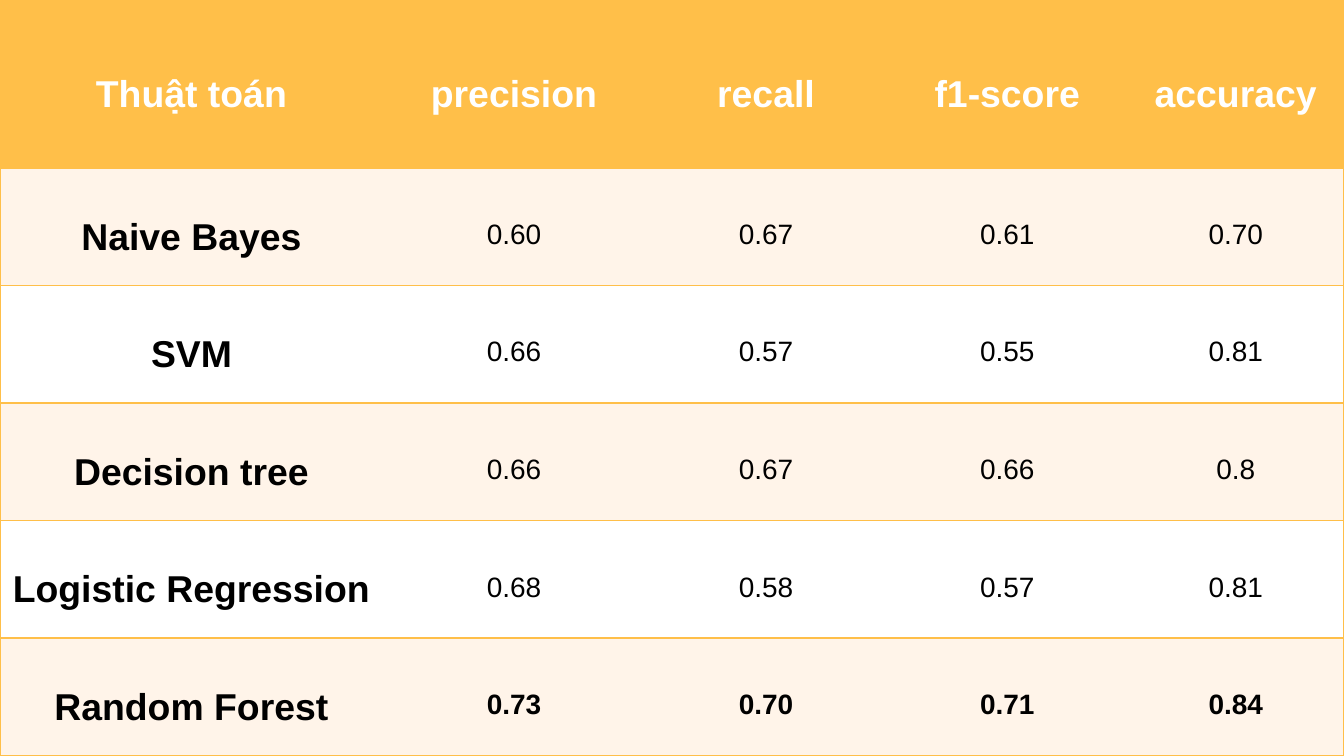
"""Build a slide with a table comparing the scores of five classification algorithms."""
from dataclasses import dataclass

from lxml.etree import SubElement
from pptx import Presentation
from pptx.dml.color import RGBColor
from pptx.enum.text import MSO_ANCHOR, PP_ALIGN
from pptx.oxml.ns import qn
from pptx.util import Inches, Pt


@dataclass(frozen=True)
class Theme:
    accent: str = "FFBF49"
    band: str = "FFF4E9"
    plain: str = "FFFFFF"
    ink: str = "000000"
    font: str = "Arial"
    label_size: int = 20
    score_size: int = 15
    rule_width: int = 1


theme = Theme()

scores = [
    ["Thuật toán", "precision", "recall", "f1-score", "accuracy"],
    ["Naive Bayes", "0.60", "0.67", "0.61", "0.70"],
    ["SVM", "0.66", "0.57", "0.55", "0.81"],
    ["Decision tree", "0.66", "0.67", "0.66", "0.8"],
    ["Logistic Regression", "0.68", "0.58", "0.57", "0.81"],
    ["Random Forest", "0.73", "0.70", "0.71", "0.84"],
]
best_row = len(scores) - 1
last_column = len(scores[0]) - 1
column_percents = [28.5, 19.5, 18, 17.9, 16.1]
row_shares = [10] + [7] * best_row


def set_attributes(target, values):
    for name, value in values.items():
        setattr(target, name, value)


def add_border(cell, side, visible):
    line = SubElement(cell._tc.get_or_add_tcPr(), qn(f"a:ln{side}"), w=str(Pt(theme.rule_width)))
    if visible:
        fill = SubElement(line, qn("a:solidFill"))
        SubElement(fill, qn("a:srgbClr"), val=theme.accent)
    else:
        SubElement(line, qn("a:noFill"))


deck = Presentation()
deck.slide_width = Inches(10)
deck.slide_height = deck.slide_width * 9 // 16
page = deck.slides.add_slide(deck.slide_layouts[6])

table = page.shapes.add_table(
    len(scores), len(scores[0]), 0, 0, deck.slide_width, deck.slide_height
).table
for column, percent in zip(table.columns, column_percents):
    column.width = int(deck.slide_width * percent / 100)
for row, share in zip(table.rows, row_shares):
    row.height = deck.slide_height * share // sum(row_shares)

cell_format = {
    "vertical_anchor": MSO_ANCHOR.MIDDLE,
    "margin_left": Inches(0.07),
    "margin_right": Inches(0.07),
    "margin_top": 0,
    "margin_bottom": 0,
}
para_format = {"alignment": PP_ALIGN.CENTER, "line_spacing": 1.5}

for row_index, values in enumerate(scores):
    is_header = row_index == 0
    row_fill = theme.accent if is_header else theme.band if row_index % 2 else theme.plain
    for column_index, value in enumerate(values):
        is_label = is_header or column_index == 0
        cell = table.cell(row_index, column_index)
        set_attributes(cell, cell_format)
        add_border(cell, "L", column_index == 0)
        add_border(cell, "R", column_index == last_column)
        add_border(cell, "T", True)
        add_border(cell, "B", True)
        cell.fill.solid()
        cell.fill.fore_color.rgb = RGBColor.from_string(row_fill)

        para = cell.text_frame.paragraphs[0]
        set_attributes(para, para_format)
        span = para.add_run()
        span.text = value
        set_attributes(span.font, {
            "name": theme.font,
            "size": Pt(theme.label_size if is_label else theme.score_size),
            "bold": is_label or row_index == best_row,
        })
        span.font.color.rgb = RGBColor.from_string(theme.plain if is_header else theme.ink)

deck.save("out.pptx")
